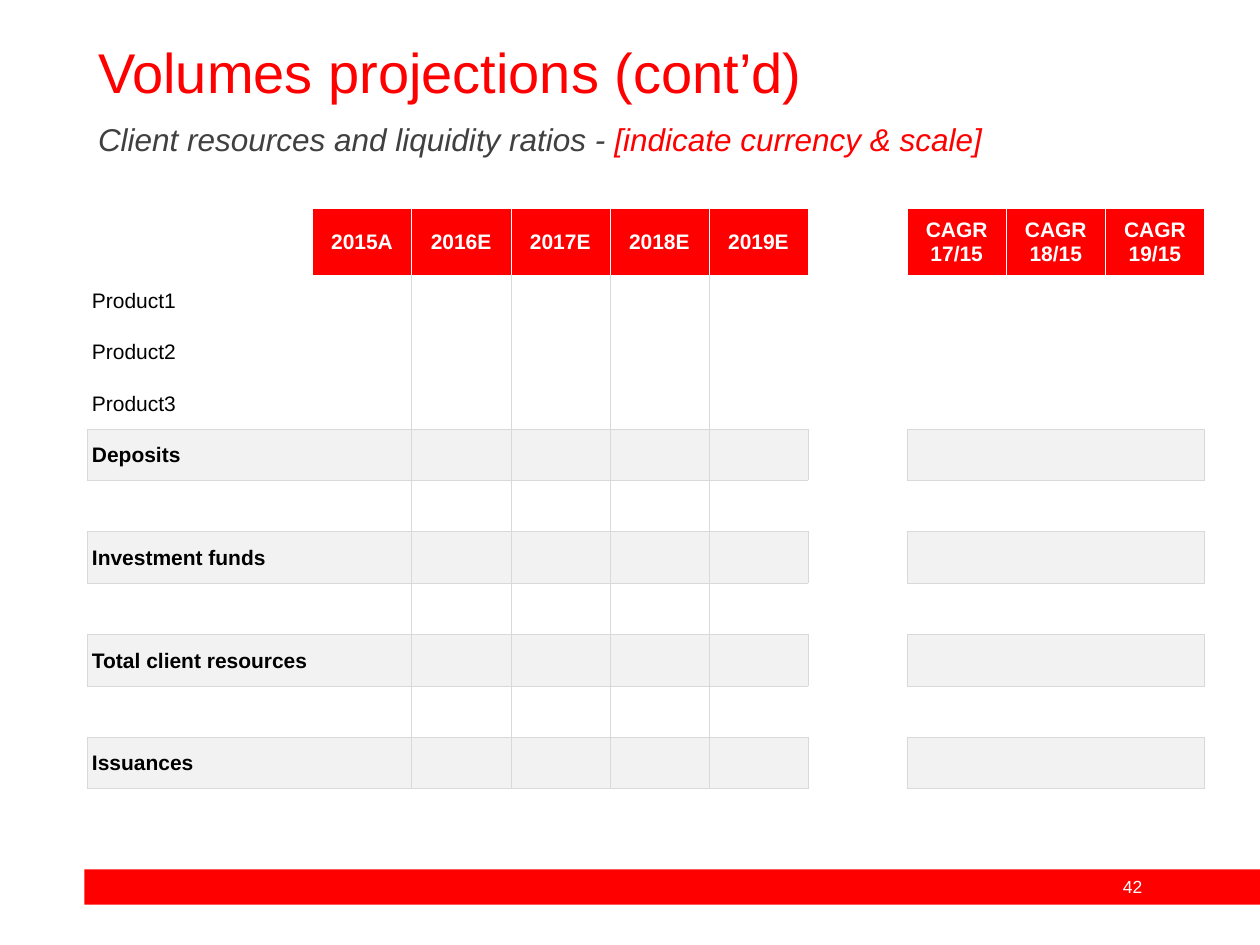
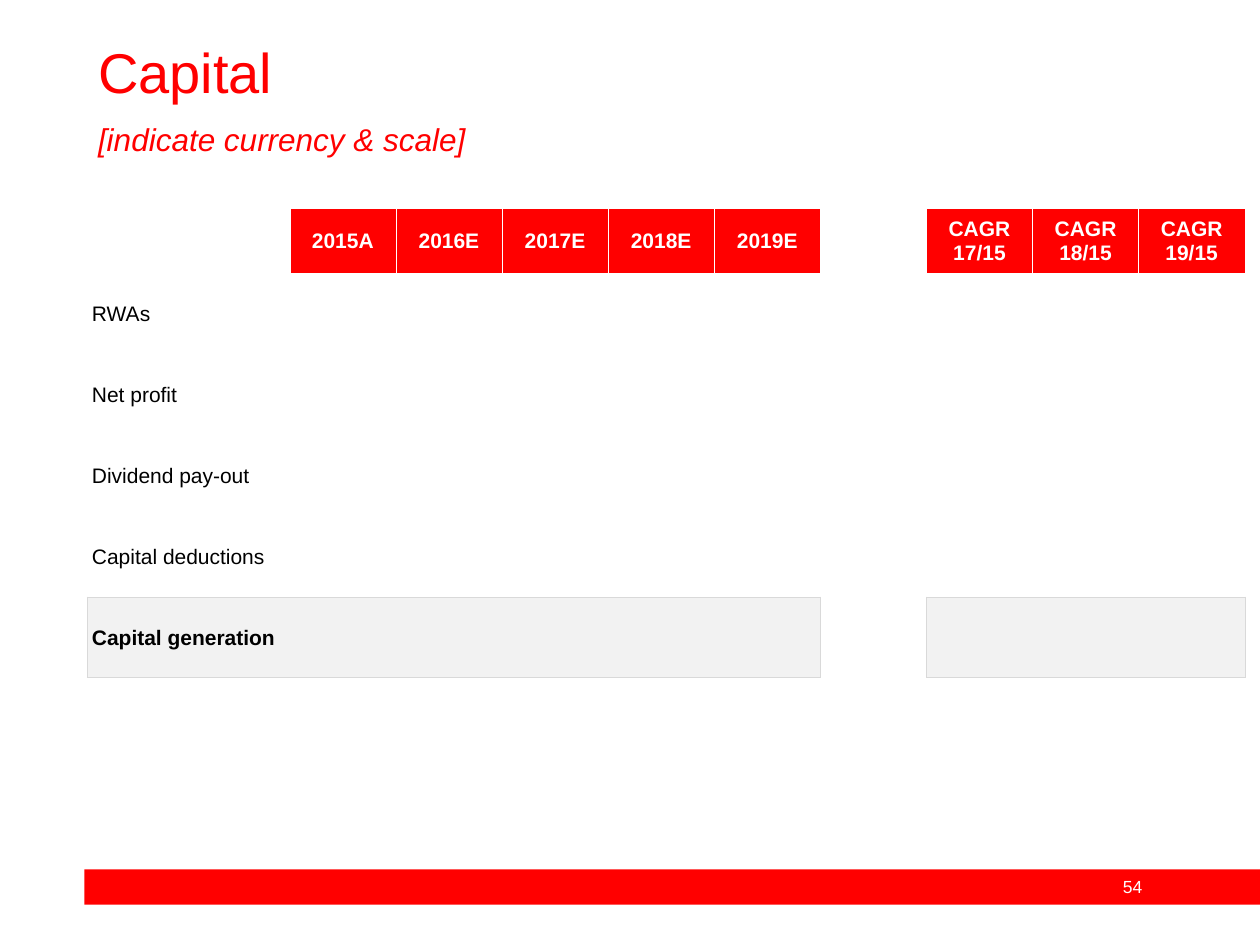
from lxml import etree
from pptx import Presentation
from pptx.dml.color import RGBColor
from pptx.enum.shapes import MSO_SHAPE
from pptx.enum.text import MSO_ANCHOR, PP_ALIGN
from pptx.oxml.ns import qn
from pptx.util import Inches, Pt

RECTANGLE = MSO_SHAPE.RECTANGLE
MIDDLE = MSO_ANCHOR.MIDDLE
CENTER = PP_ALIGN.CENTER
LEFT = PP_ALIGN.LEFT

RED = RGBColor(0xFF, 0x00, 0x00)
WHITE = RGBColor(0xFF, 0xFF, 0xFF)
BLACK = RGBColor(0x00, 0x00, 0x00)
DARK_GREY = RGBColor(0x40, 0x40, 0x40)
LINE_GREY = RGBColor(0xD9, 0xD9, 0xD9)
TOTAL_GREY = RGBColor(0xF2, 0xF2, 0xF2)
FONT = "Arial"
BORDER_WIDTH = Pt(0.25)

HEADINGS = ["", "2015A", "2016E", "2017E", "2018E", "2019E", "",
            "CAGR 17/15", "CAGR 18/15", "CAGR 19/15"]
FIRST_YEAR, LAST_YEAR = 1, 5
GAP = 6
BLOCK_STARTS, BLOCK_ENDS = (0, 7), (5, 9)
SCALE_HINT = "[indicate currency & scale]"


def write_text(paragraph, text, size=12, color=BLACK, bold=False, italic=False,
               align=LEFT, line_spacing=None):
    paragraph.alignment = align
    if line_spacing:
        paragraph.line_spacing = line_spacing
    run = paragraph.add_run()
    run.text = text
    font = run.font
    font.name, font.size = FONT, Pt(size)
    font.bold, font.italic = bold, italic
    font.color.rgb = color


def set_borders(cell, borders):
    """Draw the sides named in borders (L, R, T, B) and clear the others."""
    properties = cell._tc.get_or_add_tcPr()
    for side in "LRTB":
        line = etree.SubElement(properties, qn(f"a:ln{side}"), w=str(BORDER_WIDTH))
        if side in borders:
            fill = etree.SubElement(line, qn("a:solidFill"))
            etree.SubElement(fill, qn("a:srgbClr"), val=str(borders[side]))
        else:
            etree.SubElement(line, qn("a:noFill"))


def header_borders(column):
    if column == 0:
        return {"R": WHITE}
    return dict.fromkeys("LR" if column == GAP else "LRTB", WHITE)


def body_borders(column, is_total, after_total, before_total, year_lines):
    """Frame the total rows in two blocks and rule off the years if asked."""
    if column == GAP:
        return dict.fromkeys("LR", LINE_GREY) if is_total else {}
    sides = ""
    if is_total or after_total:
        sides += "T"
    if is_total or before_total:
        sides += "B"
    if (is_total and column in BLOCK_STARTS) or (
            year_lines and FIRST_YEAR < column <= LAST_YEAR):
        sides += "L"
    if (is_total and column in BLOCK_ENDS) or (
            year_lines and FIRST_YEAR <= column < LAST_YEAR):
        sides += "R"
    return dict.fromkeys(sides, LINE_GREY)


class ProjectionDeck:
    def __init__(self):
        self.presentation = Presentation()
        self.presentation.slide_width = Inches(10)
        self.presentation.slide_height = Inches(7.5)
        self.slide = None

    def add_slide(self, title, subtitle_runs, page_number):
        blank_layout = self.presentation.slide_layouts[6]
        self.slide = self.presentation.slides.add_slide(blank_layout)
        self.add_band(0.67, 6.9, 9.33, 0.28)
        self.add_text(8.71, 6.9, 0.56, 0.27, [(str(page_number), WHITE)],
                      size=10, align=CENTER)
        self.add_text(0.68, 0.31, 8.62, 0.57, [(title, RED)],
                      size=32, line_spacing=0.9)
        self.add_text(0.68, 0.94, 8.63, 0.41, subtitle_runs,
                      size=18, italic=True, line_spacing=0.9)

    def add_band(self, left, top, width, height):
        band = self.slide.shapes.add_shape(
            RECTANGLE, Inches(left), Inches(top), Inches(width), Inches(height))
        band.shadow.inherit = False
        band.fill.solid()
        band.fill.fore_color.rgb = RED
        band.line.fill.background()

    def add_text(self, left, top, width, height, runs, **text_format):
        box = self.slide.shapes.add_textbox(
            Inches(left), Inches(top), Inches(width), Inches(height))
        box.text_frame.word_wrap = True
        for text, color in runs:
            write_text(box.text_frame.paragraphs[0], text, color=color, **text_format)

    def add_projection_table(self, width, height, label_width, header_height,
                             labels, totals, year_lines):
        shape = self.slide.shapes.add_table(
            len(labels) + 1, len(HEADINGS),
            Inches(0.69), Inches(1.65), Inches(width), Inches(height))
        table = shape.table
        table.first_row = table.horz_banding = False
        for index, column in enumerate(table.columns):
            column.width = Inches((width - label_width) / (len(HEADINGS) - 1)
                                  if index else label_width)
        for index, row in enumerate(table.rows):
            row.height = Inches((height - header_height) / len(labels)
                                if index else header_height)

        for column, heading in enumerate(HEADINGS):
            self.fill_cell(table.cell(0, column), heading, header_borders(column),
                           RED if heading else None,
                           color=WHITE, bold=True, align=CENTER)

        is_total = [False] + [label in totals for label in labels] + [False]
        for row, label in enumerate(labels, start=1):
            for column in range(len(HEADINGS)):
                borders = body_borders(column, is_total[row], is_total[row - 1],
                                       is_total[row + 1], year_lines)
                shaded = is_total[row] and column != GAP
                self.fill_cell(table.cell(row, column), "" if column else label,
                               borders, TOTAL_GREY if shaded else None,
                               indent=0.04, bold=is_total[row])

    def fill_cell(self, cell, text, borders, background, indent=0.01, **text_format):
        set_borders(cell, borders)
        if background is None:
            cell.fill.background()
        else:
            cell.fill.solid()
            cell.fill.fore_color.rgb = background
        cell.vertical_anchor = MIDDLE
        cell.margin_left = Inches(indent)
        cell.margin_right = cell.margin_top = Inches(0.01)
        cell.margin_bottom = 0
        if text:
            write_text(cell.text_frame.paragraphs[0], text, **text_format)


def main():
    deck = ProjectionDeck()

    deck.add_slide("Volumes projections (cont’d)",
                   [("Client resources and liquidity ratios - ", DARK_GREY),
                    (SCALE_HINT, RED)], 42)
    deck.add_projection_table(
        width=8.87, height=4.61, label_width=1.79, header_height=0.53,
        labels=["Product1", "Product2", "Product3", "Deposits", "",
                "Investment funds", "", "Total client resources", "", "Issuances"],
        totals=["Deposits", "Investment funds", "Total client resources", "Issuances"],
        year_lines=True)

    deck.add_slide("Capital", [(SCALE_HINT, RED)], 54)
    deck.add_projection_table(
        width=9.19, height=3.73, label_width=1.61, header_height=0.52,
        labels=["RWAs", "Net profit", "Dividend pay-out", "Capital deductions",
                "Capital generation"],
        totals=["Capital generation"],
        year_lines=False)

    deck.presentation.save("out.pptx")


if __name__ == "__main__":
    main()
